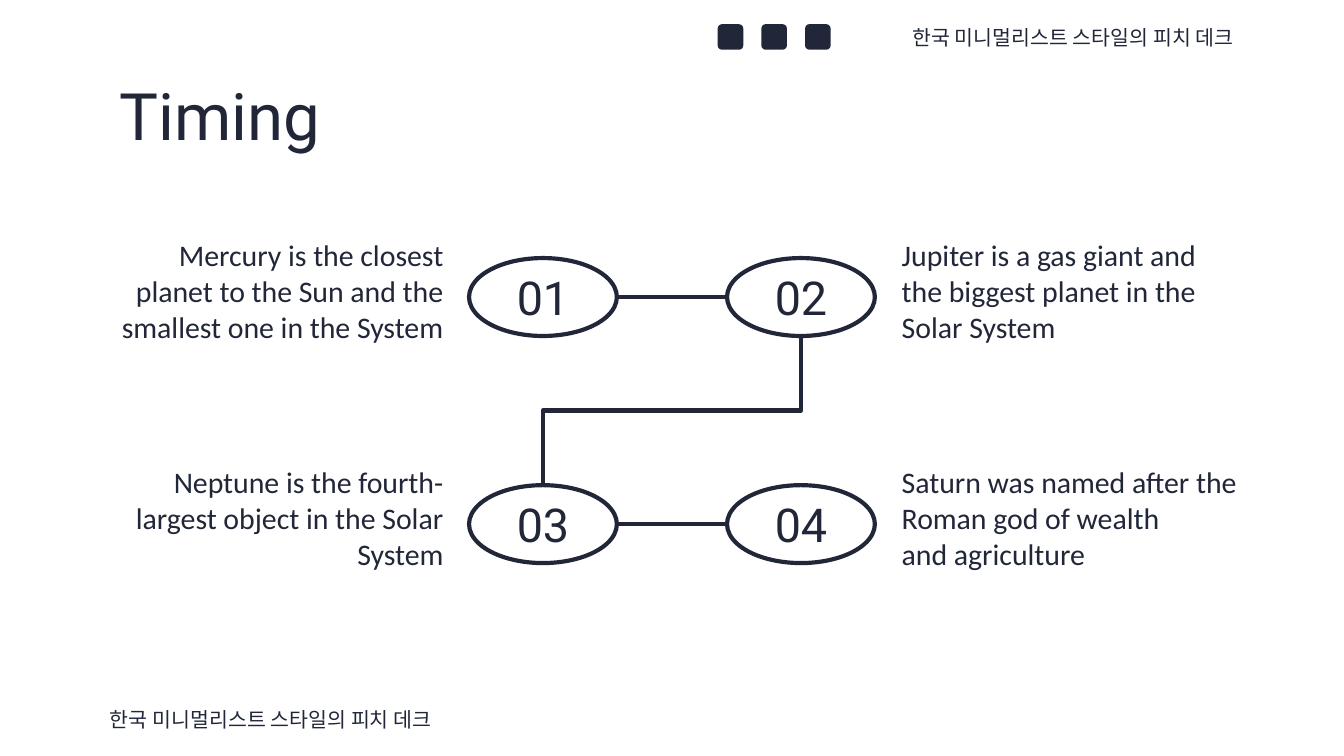
from pptx import Presentation
from pptx.util import Inches, Pt
from pptx.dml.color import RGBColor
from pptx.enum import shapes as sh, text as tx
from pptx.oxml.ns import qn
from lxml import etree

HEX = {"ink": "212739", "paper": "FFFFFF"}
INK = RGBColor.from_string(HEX["ink"])
LEFT, MID, RIGHT = tx.PP_ALIGN.LEFT, tx.PP_ALIGN.CENTER, tx.PP_ALIGN.RIGHT
LINK = sh.MSO_CONNECTOR
TAG = "한국 미니멀리스트 스타일의 피치 데크"
STEPS = [
    ("01", "Mercury is the closest planet to the Sun and the smallest one in the System"),
    ("02", "Jupiter is a gas giant and the biggest planet in the Solar System"),
    ("03", "Neptune is the fourth-largest object in the Solar System"),
    ("04", "Saturn was named after the Roman god of wealth\nand agriculture"),
]


def write(shape, words, font, size, align=LEFT, pad=(0.1, 0.1, 0.1, 0.1)):
    frame = shape.text_frame
    frame.text = words
    frame.word_wrap = True
    frame.vertical_anchor = tx.MSO_ANCHOR.MIDDLE
    frame.margin_left, frame.margin_top, frame.margin_right, frame.margin_bottom = map(Inches, pad)
    for par in frame.paragraphs:
        par.alignment = align
        for run in par.runs:
            run.font.name = font
            run.font.size = Pt(size)
            run.font.color.rgb = INK


def label(slide, box, *style):
    write(slide.shapes.add_textbox(*map(Inches, box)), *style)


def join(slide, kind, start, end):
    line = slide.shapes.add_connector(kind, *map(Inches, start + end))
    line.line.color.rgb = INK
    line.line.width = Pt(2.25)
    etree.SubElement(line._element.spPr, qn("a:effectLst"))
    return line


def turn(slide, start, end):
    mid_x, mid_y = (start[0] + end[0]) / 2, (start[1] + end[1]) / 2
    half_w, half_h = (end[1] - start[1]) / 2, (start[0] - end[0]) / 2
    line = join(slide, LINK.ELBOW, (mid_x - half_w, mid_y - half_h),
                (mid_x + half_w, mid_y + half_h))
    line._element.spPr.find(qn("a:xfrm")).set("rot", "5400000")


def header(slide, box):
    left, top, width, height = box
    for i in range(3):
        icon = slide.shapes.add_shape(
            sh.MSO_SHAPE.ROUNDED_RECTANGLE, Inches(left + i * 0.325), Inches(top + 0.06),
            Inches(0.19), Inches(0.19))
        icon.shadow.inherit = False
        icon.fill.solid()
        icon.fill.fore_color.rgb = INK
        icon.line.fill.background()
    label(slide, (left + width - 2.93, top, 2.93, height), TAG, "League Spartan", 11, RIGHT)


def steps(slide, box):
    left, top, width, height = box
    oval_w, oval_h, note_w, note_h = 1.1, 0.58, 2.53, 0.78
    cols = (left + 2.72, left + width - 2.72 - oval_w)
    rows = (top + 0.1, top + height - 0.1 - oval_h)
    for i, (mark, note) in enumerate(STEPS):
        row, col = divmod(i, 2)
        oval = slide.shapes.add_shape(
            sh.MSO_SHAPE.OVAL, *map(Inches, (cols[col], rows[row], oval_w, oval_h)))
        oval.shadow.inherit = False
        oval.fill.background()
        oval.line.color.rgb = INK
        oval.line.width = Pt(2.25)
        write(oval, mark, "Roboto", 25, MID)
        note_x = left + width - note_w if col else left
        label(slide, (note_x, rows[row] - 0.1, note_w, note_h), note, "Calibri", 16,
              LEFT if col else RIGHT, (0.01 if col else 0, 0, 0, 0.1))
    for row in rows:
        mid = row + oval_h / 2
        join(slide, LINK.STRAIGHT, (cols[0] + oval_w, mid), (cols[1], mid))
    turn(slide, (cols[1] + oval_w / 2, rows[0] + oval_h), (cols[0] + oval_w / 2, rows[1]))


def main():
    deck = Presentation()
    deck.slide_width = Inches(10)
    deck.slide_height = deck.slide_width * 9 // 16
    slide = deck.slides.add_slide(deck.slide_layouts[6])
    slide.background.fill.solid()
    slide.background.fill.fore_color.rgb = RGBColor.from_string(HEX["paper"])
    label(slide, (0.79, 0.59, 8.43, 0.52), "Timing", "Roboto", 35)
    steps(slide, (0.77, 1.82, 8.46, 2.47))
    header(slide, (5.34, 0.12, 3.94, 0.32))
    label(slide, (0.72, 5.19, 2.93, 0.32), TAG, "League Spartan", 11)
    deck.save("out.pptx")


if __name__ == "__main__":
    main()
